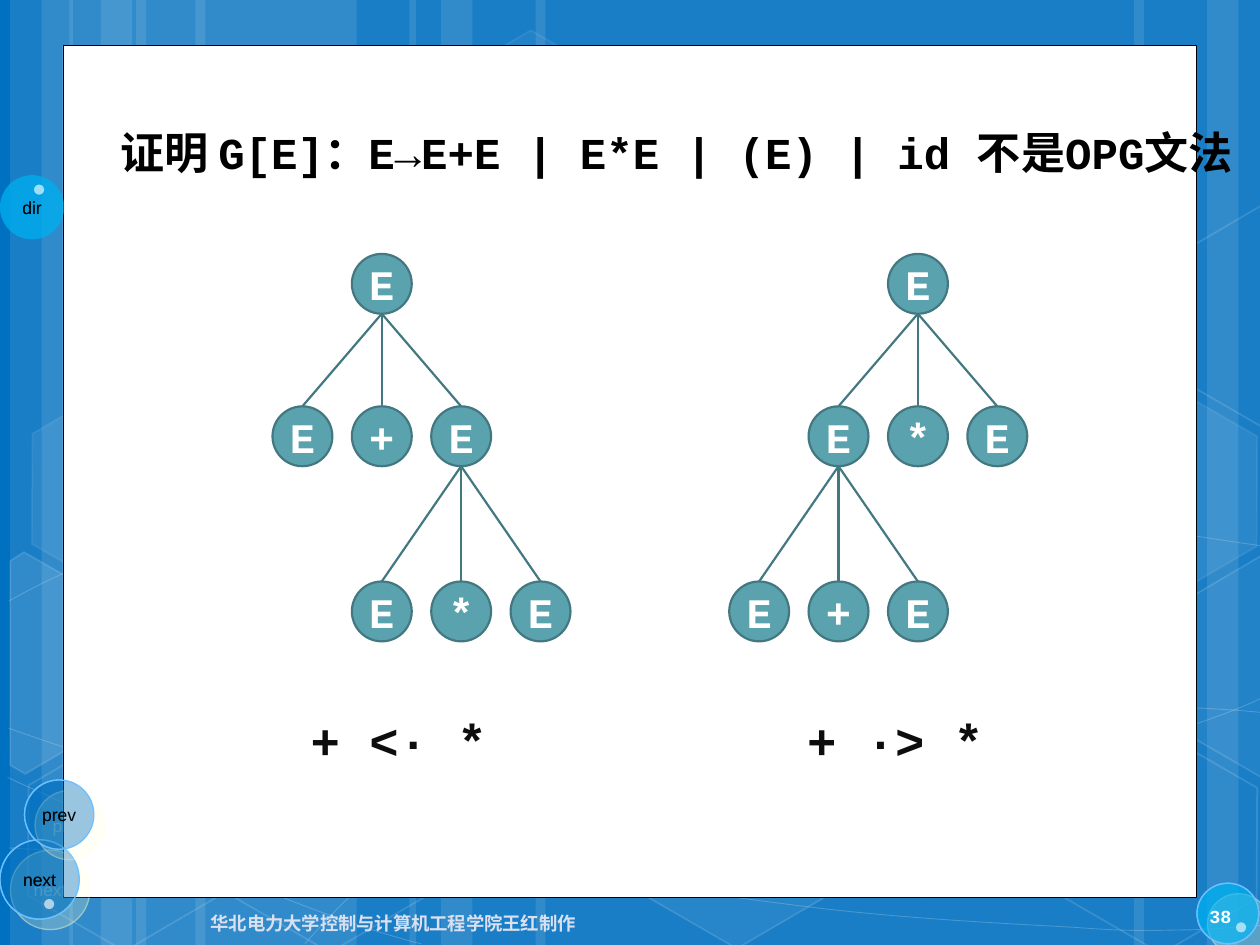
from dataclasses import dataclass
from math import cos, radians, sin

from lxml.etree import SubElement
from pptx import Presentation
from pptx.dml.color import RGBColor
from pptx.enum.shapes import MSO_CONNECTOR, MSO_SHAPE
from pptx.enum.text import MSO_ANCHOR, PP_ALIGN
from pptx.oxml.ns import qn
from pptx.util import Emu, Inches, Pt

WHITE = RGBColor(0xFF, 0xFF, 0xFF)
BLACK = RGBColor(0, 0, 0)
BLUE = RGBColor(0x00, 0x70, 0xC0)
SKY = RGBColor(0x00, 0xB0, 0xF0)
RIM = RGBColor(0x6D, 0xC0, 0xFF)
GLOW = RGBColor(0xFF, 0xFF, 0xCC)
TEAL = RGBColor(0x5A, 0xA2, 0xAE)
DARK_TEAL = RGBColor(0x43, 0x78, 0x81)
INK = RGBColor(0x0D, 0x0D, 0x0D)
FOOTER = RGBColor(0xDA, 0xE0, 0xEF)
PAGE_NUMBER = RGBColor(0xFE, 0xFE, 0xFE)

COLUMNS = 100
MONO = "Courier New"
TILT = 30
NODE = 4.75
NODE_STEP = 6.3
LEVELS = (20.15, 32.25, 46.15)

deck = Presentation()
deck.slide_width, deck.slide_height = Inches(10), Inches(7.5)
CELL = deck.slide_width / COLUMNS
page = deck.slides.add_slide(deck.slide_layouts[6])


@dataclass(frozen=True)
class Area:
    left: float
    top: float
    width: float
    height: float

    def place(self) -> list[Emu]:
        """Return the area as slide lengths."""
        return [grid(value) for value in (self.left, self.top, self.width, self.height)]


@dataclass(frozen=True)
class Paint:
    fill: RGBColor | None = None
    fill_alpha: int = 100
    line: RGBColor | None = None
    weight: float = 1
    line_alpha: int = 100


@dataclass(frozen=True)
class Style:
    size: float
    color: RGBColor
    font: str = MONO
    bold: bool = True
    align: PP_ALIGN = PP_ALIGN.CENTER
    anchor: MSO_ANCHOR = MSO_ANCHOR.MIDDLE
    wrap: bool = False


@dataclass(frozen=True)
class Button:
    area: Area
    paint: Paint
    label: str = ""


@dataclass(frozen=True)
class Tree:
    center: float
    root_operator: str
    inner_operator: str
    inner_side: int


STRIPE = Paint(WHITE, 10)
CURVE = Paint(line=WHITE, weight=0.5, line_alpha=20)
NODE_PAINT = Paint(TEAL, line=DARK_TEAL, weight=1.25)
DOT = Paint(WHITE, 50)
ROUND_BLUE = Paint(BLUE, 40, RIM, 0.75)
ROUND_SKY = Paint(SKY, 50, RIM, 0.75)
BUTTON_TEXT = Style(10, BLACK, "Arial", False)
NODE_TEXT = Style(24, WHITE)
ANSWER = Style(28, INK, anchor=MSO_ANCHOR.TOP)

STRIPES = ((10.8, 17.5), (0.8, 5), (3.3, 8.3), (15.5, 17.5), (5.5, 5), (8, 8.3),
           (73.3, 17.5), (95.8, 5), (90, 8.3), (42.5, 30.8), (32.5, 5), (35, 8.3))
CURVES = (
    ((0.7, 67.3), (6.1, 67.6), (11.5, 67.9), (19, 67.8), (26.5, 67.7), (35.8, 67.5), (45.8, 66.5),
     (55.8, 65.5), (70, 63.6), (79.2, 61.7), (88.3, 59.8), (97.7, 56.8), (100.7, 55.1)),
    ((0.7, 47.7), (3.6, 46.1), (6.5, 44.6), (12.1, 43.1), (17.8, 41.6), (25.9, 39.4), (34.7, 38.7),
     (43.6, 38), (54.4, 37.9), (65.4, 38.7), (76.4, 39.5), (94.7, 42.6), (100.7, 43.4)),
    ((0.6, 61.7), (12.7, 67.2), (24.7, 72.7), (33.4, 74.9)),
    ((0.7, 57.8), (3.8, 58.9), (7, 60), (12.8, 61.6), (18.6, 63.1), (27.3, 65.6), (35.7, 67.3),
     (44, 69), (54.5, 70.8), (62.8, 71.8), (71.1, 72.9), (80, 73.3), (85.3, 73.6),
     (90.5, 74), (91.9, 73.8), (94.5, 73.8), (97.1, 73.7), (98.9, 73.5), (100.7, 73.4)),
    ((24.2, 74.9), (26, 72.9), (27.8, 70.9), (30.2, 69.1), (32.6, 67.3), (36, 65.3), (38.8, 63.9),
     (41.6, 62.5), (43.3, 61.9), (47, 60.9), (50.6, 59.9), (57.3, 58.5), (60.8, 57.8),
     (64.4, 57.1), (64.9, 57.1), (68, 56.9), (71.1, 56.6), (76, 56.3), (79.4, 56.2),
     (82.9, 56.1), (88.6, 56.2), (88.6, 56.2), (90.8, 56.2), (93.1, 56.2), (95.3, 56.2),
     (97.1, 56.3), (98.8, 56.4), (100.6, 56.6)),
)
HEXAGONS = ((33.4, 3.6, 4, 8), (49.7, 58.9, 6, 12), (1.1, 59.1, 0, 12), (1.4, 31.2, 7, 8),
            (17.4, 59.2, 0, 12), (75.3, 45.3, 10, 12), (83.4, 59.3, 0, 12), (83.4, 31.4, 7, 8))
CUT_HEXAGONS = (
    (10, (3.6, 53.5),
     ((0.8, 44.5), (1.9, 43.8), (9.6, 48.2), (9.5, 57), (2, 61.4), (0.8, 60.7))),
    (4, (98.5, 52),
     ((92.6, 48.5), (100.1, 44.1), (100.9, 44.6), (100.9, 61.3), (100.2, 61.7), (92.6, 57.3))),
    (0, (98.5, 24.1),
     ((92.6, 20.7), (100.1, 16.3), (101, 16.8), (100.9, 33.5), (100.2, 33.9), (92.6, 29.5))),
)
BUTTONS = (Button(Area(95, 70.1, 4.9, 4.8), ROUND_SKY),
           Button(Area(0, 13.9, 5.1, 5.1), Paint(SKY, 50), "dir"),
           Button(Area(0, 66.65, 6.3, 6.3), ROUND_BLUE, "next"),
           Button(Area(1.95, 61.9, 5.5, 5.5), ROUND_BLUE, "prev"),
           *(Button(Area(left, top, 0.8, 0.8), DOT)
             for left, top in ((3.5, 71.35), (2.7, 14.65), (98.1, 73.2))))
TREES = (Tree(30.3, "+", "*", 1), Tree(72.85, "*", "+", -1))


def grid(value: float) -> Emu:
    """Turn grid cells into a slide length."""
    return Emu(round(value * CELL))


def set_alpha(holder, percent: int) -> None:
    """Make the solid fill inside an element partly see-through."""
    if percent < 100:
        color = holder.find(qn("a:solidFill"))[0]
        SubElement(color, qn("a:alpha"), val=str(percent * 1000))


def paint_shape(shape, paint: Paint):
    """Apply fill, outline and transparency."""
    shape.shadow.inherit = False
    if paint.fill is None or paint.fill_alpha == 0:
        shape.fill.background()
    else:
        shape.fill.solid()
        shape.fill.fore_color.rgb = paint.fill
        set_alpha(shape._element.spPr, paint.fill_alpha)
    if paint.line is None:
        shape.line.fill.background()
    else:
        shape.line.color.rgb = paint.line
        shape.line.width = Pt(paint.weight)
        set_alpha(shape.line._get_or_add_ln(), paint.line_alpha)
    return shape


def add_glow(shape) -> None:
    """Add a pale offset shadow."""
    effects = shape._element.spPr.find(qn("a:effectLst"))
    shadow = SubElement(effects, qn("a:outerShdw"), dist=str(Pt(8.5)), dir="2700000",
                        algn="ctr", rotWithShape="0")
    color = SubElement(shadow, qn("a:srgbClr"), val=str(GLOW))
    SubElement(color, qn("a:alpha"), val="30000")


def write(shape, text: str, style: Style) -> None:
    """Write one styled paragraph."""
    frame = shape.text_frame
    frame.word_wrap, frame.vertical_anchor = style.wrap, style.anchor
    para = frame.paragraphs[0]
    para.text, para.alignment = text, style.align
    para.font.name, para.font.size = style.font, Pt(style.size)
    para.font.bold, para.font.color.rgb = style.bold, style.color


def add_text(area: Area, text: str, style: Style) -> None:
    """Add a text box."""
    write(page.shapes.add_textbox(*area.place()), text, style)


def add_preset(kind: MSO_SHAPE, area: Area, paint: Paint):
    """Add a painted preset shape."""
    return paint_shape(page.shapes.add_shape(kind, *area.place()), paint)


def add_outline(points, paint: Paint, close: bool):
    """Add a freeform through grid points."""
    corners = [(grid(x), grid(y)) for x, y in points]
    builder = page.shapes.build_freeform(*corners[0])
    builder.add_line_segments(corners[1:], close=close)
    return paint_shape(builder.convert_to_shape(), paint)


def add_curve(knots) -> None:
    """Add a chain of cubic Bézier curves."""
    curve = add_outline(knots, CURVE, False)
    segments = list(curve._element.iter(qn("a:lnTo")))
    outline = segments[0].getparent()
    for start in range(0, len(segments), 3):
        bend = SubElement(outline, qn("a:cubicBezTo"))
        for segment in segments[start:start + 3]:
            bend.append(segment[0])
            outline.remove(segment)


def untilt(point, center) -> tuple[float, float]:
    """Turn a point back by the tilt around a center."""
    across, down = point[0] - center[0], point[1] - center[1]
    cosine, sine = cos(radians(TILT)), sin(radians(TILT))
    return center[0] + cosine * across + sine * down, center[1] + cosine * down - sine * across


def draw_background() -> None:
    """Draw the stripes, curves and hexagons."""
    page.background.fill.solid()
    page.background.fill.fore_color.rgb = BLUE
    for left, width in STRIPES:
        add_preset(MSO_SHAPE.RECTANGLE, Area(left, 0, width, 75), STRIPE)
    for knots in CURVES:
        add_curve(knots)
    for left, top, fill_alpha, line_alpha in HEXAGONS:
        hexagon = add_preset(MSO_SHAPE.HEXAGON, Area(left, top, 17.5, 15.2),
                             Paint(WHITE, fill_alpha, WHITE, 1, line_alpha))
        hexagon.adjustments[0], hexagon.rotation = 0.285, TILT
    for fill_alpha, center, points in CUT_HEXAGONS:
        flat = [untilt(point, center) for point in points]
        add_outline(flat, Paint(WHITE, fill_alpha, WHITE, 1, 12), True).rotation = TILT


def draw_buttons() -> None:
    """Draw the navigation circles."""
    for button in BUTTONS:
        circle = add_preset(MSO_SHAPE.OVAL, button.area, button.paint)
        if button.paint.line is not None:
            add_glow(circle)
        if button.label:
            write(circle, button.label, BUTTON_TEXT)


def add_node(center: float, level: int, label: str):
    """Add a tree node."""
    area = Area(center - NODE / 2, LEVELS[level], NODE, NODE)
    node = add_preset(MSO_SHAPE.OVAL, area, NODE_PAINT)
    write(node, label, NODE_TEXT)
    return node


def add_branch(center: float, level: int, operator: str) -> None:
    """Add three children below a node and join them to it."""
    for offset, label in zip((-1, 0, 1), ("E", operator, "E")):
        child = add_node(center + offset * NODE_STEP, level, label)
        edge = page.shapes.add_connector(MSO_CONNECTOR.STRAIGHT, grid(center),
                                         grid(LEVELS[level - 1] + NODE), 0, 0)
        edge.end_connect(child, 0)
        edge.line.color.rgb, edge.line.width = DARK_TEAL, Pt(1.25)
        SubElement(edge._element.spPr, qn("a:effectLst"))


def draw_tree(tree: Tree) -> None:
    """Draw a syntax tree of three levels."""
    add_node(tree.center, 0, "E")
    add_branch(tree.center, 1, tree.root_operator)
    add_branch(tree.center + tree.inner_side * NODE_STEP, 2, tree.inner_operator)


def main() -> None:
    """Build and save the slide."""
    draw_background()
    draw_buttons()
    add_preset(MSO_SHAPE.RECTANGLE, Area(5, 3.6, 90, 67.65), Paint(WHITE, line=BLACK, weight=0.5))
    draw_buttons()
    add_text(Area(9.5, 71.3, 37.2, 4), "华北电力大学控制与计算机工程学院王红制作",
             Style(10.5, FOOTER, align=PP_ALIGN.RIGHT, wrap=True))
    add_text(Area(95, 70.7, 4.7, 4), "38",
             Style(10.5, PAGE_NUMBER, align=PP_ALIGN.LEFT, wrap=True))
    add_text(Area(8.55, 4.55, 91.45, 10.1), "证明 G[E]：E→E+E | E*E | (E) | id 不是OPG文法",
             Style(25.2, BLACK, align=PP_ALIGN.LEFT, anchor=MSO_ANCHOR.BOTTOM, wrap=True))
    for tree in TREES:
        draw_tree(tree)
    for left, relation in ((23.65, "+ <· *"), (63.05, "+ ·> *")):
        add_text(Area(left, 55.9, 16, 5.7), relation, ANSWER)
    deck.save("out.pptx")


if __name__ == "__main__":
    main()
